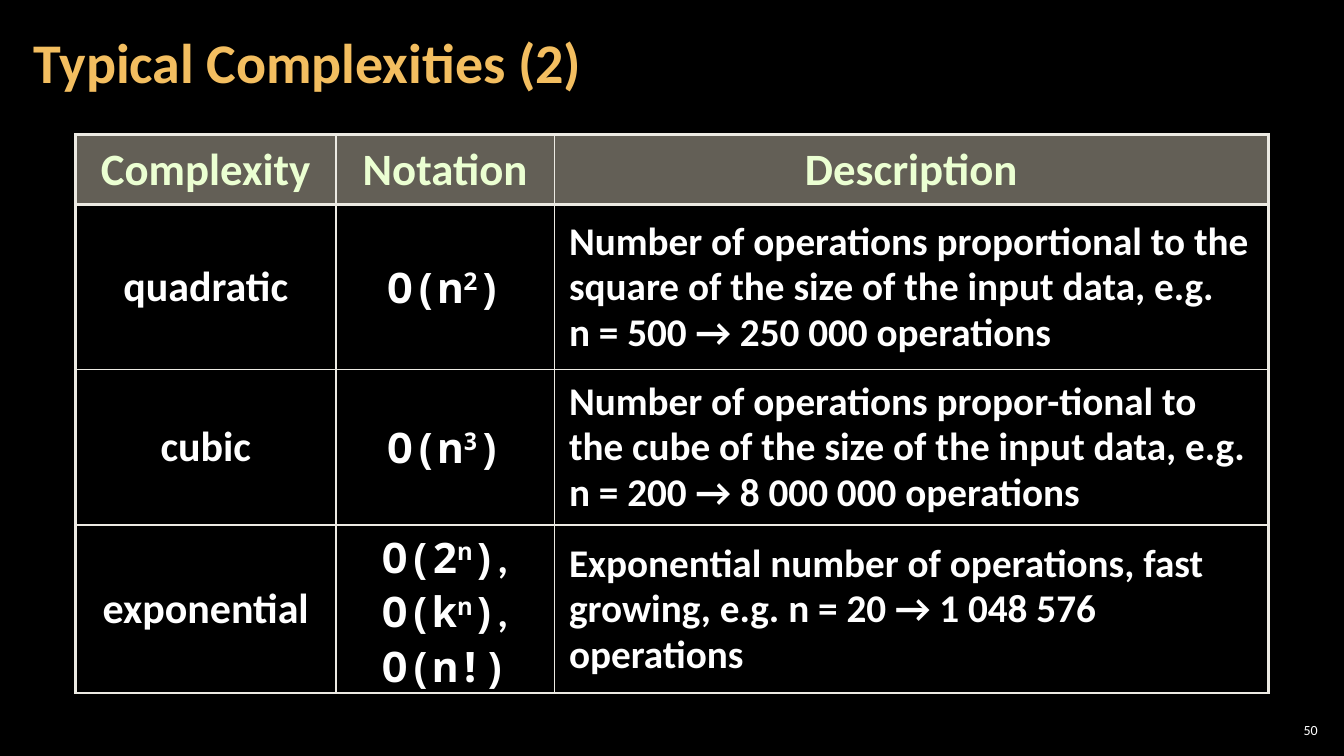
from lxml import etree
from pptx import Presentation
from pptx.dml.color import RGBColor
from pptx.enum.text import MSO_ANCHOR, PP_ALIGN
from pptx.oxml.ns import qn
from pptx.util import Emu, Pt

MIDDLE = MSO_ANCHOR.MIDDLE
LEFT, CENTER, RIGHT = PP_ALIGN.LEFT, PP_ALIGN.CENTER, PP_ALIGN.RIGHT

SANS, MONO = "Calibri", "Noto Sans Mono"
BLACK, WHITE, GOLD = "000000", "FFFFFF", "F3BE60"
MINT, TAUPE, RULE = "EBFFD2", "C7BFAC", "ECEAE3"
THICK, THIN = 2.25, 1

HEADINGS = ["Complexity", "Notation", "Description"]
# Notations are lines of (base, exponent, end, trailing punctuation)
COMPLEXITIES = [
    ("quadratic", [("O(n", "2", ")", "")],
     "Number of operations proportional to the square of the size of "
     "the input data, e.g.\nn = 500 → 250 000 operations"),
    ("cubic", [("O(n", "3", ")", "")],
     "Number of operations propor-tional to the cube of the size of "
     "the input data, e.g. n = 200 → 8 000 000 operations"),
    ("exponential",
     [("O(2", "n", ")", ","), ("O(k", "n", ")", ","), ("O(n!)", "", "", "")],
     "Exponential number of operations, fast growing, "
     "e.g. n = 20 → 1 048 576 operations"),
]
COLUMNS = [248, 208, 680]
ROWS = [67, 157, 148, 160]


def px(length):
    return Emu(length * 9525)


def color(value):
    return RGBColor.from_string(value)


class Slide:
    def __init__(self, deck, background):
        self.page = deck.slides.add_slide(deck.slide_layouts[6])
        fill = self.page.background.fill
        fill.solid()
        fill.fore_color.rgb = color(background)

    def style(self, para, size, hue, bold=True, align=LEFT, spacing=None, font=SANS):
        para.alignment = align
        para.line_spacing = spacing
        para.font.name = font
        para.font.size = Pt(size)
        para.font.bold = bold
        para.font.color.rgb = color(hue)

    def inset(self, target, across, down):
        target.margin_left = target.margin_right = px(across)
        target.margin_top = target.margin_bottom = px(down)
        target.vertical_anchor = MIDDLE

    def text(self, left, top, width, height, words, across, **look):
        box = self.page.shapes.add_textbox(px(left), px(top), px(width), px(height))
        frame = box.text_frame
        frame.word_wrap = True
        self.inset(frame, across, 4)
        frame.text = words
        self.style(frame.paragraphs[0], **look)

    def table(self, left, top, columns, rows):
        grid = self.page.shapes.add_table(
            len(rows), len(columns), px(left), px(top),
            px(sum(columns)), px(sum(rows))).table
        for column, width in zip(grid.columns, columns):
            column.width = px(width)
        for row, height in zip(grid.rows, rows):
            row.height = px(height)
        for cell in grid.iter_cells():
            self.inset(cell, 14, 5)
            cell.fill.background()
        return grid

    def cell(self, cell, words, **look):
        # Line feeds become line breaks within one paragraph
        para = cell.text_frame.paragraphs[0]
        para.text = words
        self.style(para, spacing=0.95, **look)

    def notation(self, cell, lines):
        frame = cell.text_frame
        for index, (base, exponent, end, punctuation) in enumerate(lines):
            para = frame.add_paragraph() if index else frame.paragraphs[0]
            self.style(para, 30, WHITE, align=CENTER, spacing=0.95, font=MONO)
            for part in filter(None, (base, exponent, end, punctuation)):
                span = para.add_run()
                span.text = part
                if part == exponent:
                    span._r.get_or_add_rPr().set("baseline", "30000")
                elif part == punctuation:
                    span.font.name = SANS

    def shade(self, cell, hue, percent):
        cell.fill.solid()
        cell.fill.fore_color.rgb = color(hue)
        tint = cell._tc.tcPr.find(".//" + qn("a:srgbClr"))
        etree.SubElement(tint, qn("a:alpha"), val=str(percent * 1000))

    def borders(self, cell, hue, widths):
        # Border elements come before the fill, in the order L, R, T, B
        for index, (side, width) in enumerate(zip("LRTB", widths)):
            line = etree.Element(qn("a:ln" + side), w=str(Pt(width)))
            solid = etree.SubElement(line, qn("a:solidFill"))
            etree.SubElement(solid, qn("a:srgbClr"), val=hue)
            cell._tc.tcPr.insert(index, line)


def main():
    deck = Presentation()
    deck.slide_width, deck.slide_height = px(1280), px(720)
    slide = Slide(deck, BLACK)

    # Page number
    slide.text(1214, 685, 45, 20, "50", 4, size=10, hue=WHITE, bold=False, align=RIGHT)

    # Complexity table
    grid = slide.table(72, 128, COLUMNS, ROWS)
    for column, heading in enumerate(HEADINGS):
        slide.cell(grid.cell(0, column), heading, size=32, hue=MINT, align=CENTER)
        slide.shade(grid.cell(0, column), TAUPE, 50)
    for row, (name, lines, description) in enumerate(COMPLEXITIES, 1):
        slide.cell(grid.cell(row, 0), name, size=30, hue=WHITE, align=CENTER)
        slide.notation(grid.cell(row, 1), lines)
        slide.cell(grid.cell(row, 2), description, size=28, hue=WHITE)

    # Thick rules around the table and below its header
    upright = [THICK, THIN, THIN, THICK]
    level = [THICK, THICK, THIN, THIN, THICK]
    for row in range(len(ROWS)):
        for column in range(len(COLUMNS)):
            slide.borders(grid.cell(row, column), RULE,
                          upright[column:column + 2] + level[row:row + 2])

    # Title
    slide.text(20, 4, 1005, 116, "Typical Complexities (2)", 12,
               size=40, hue=GOLD, spacing=0.9)

    deck.save("out.pptx")


if __name__ == "__main__":
    main()
